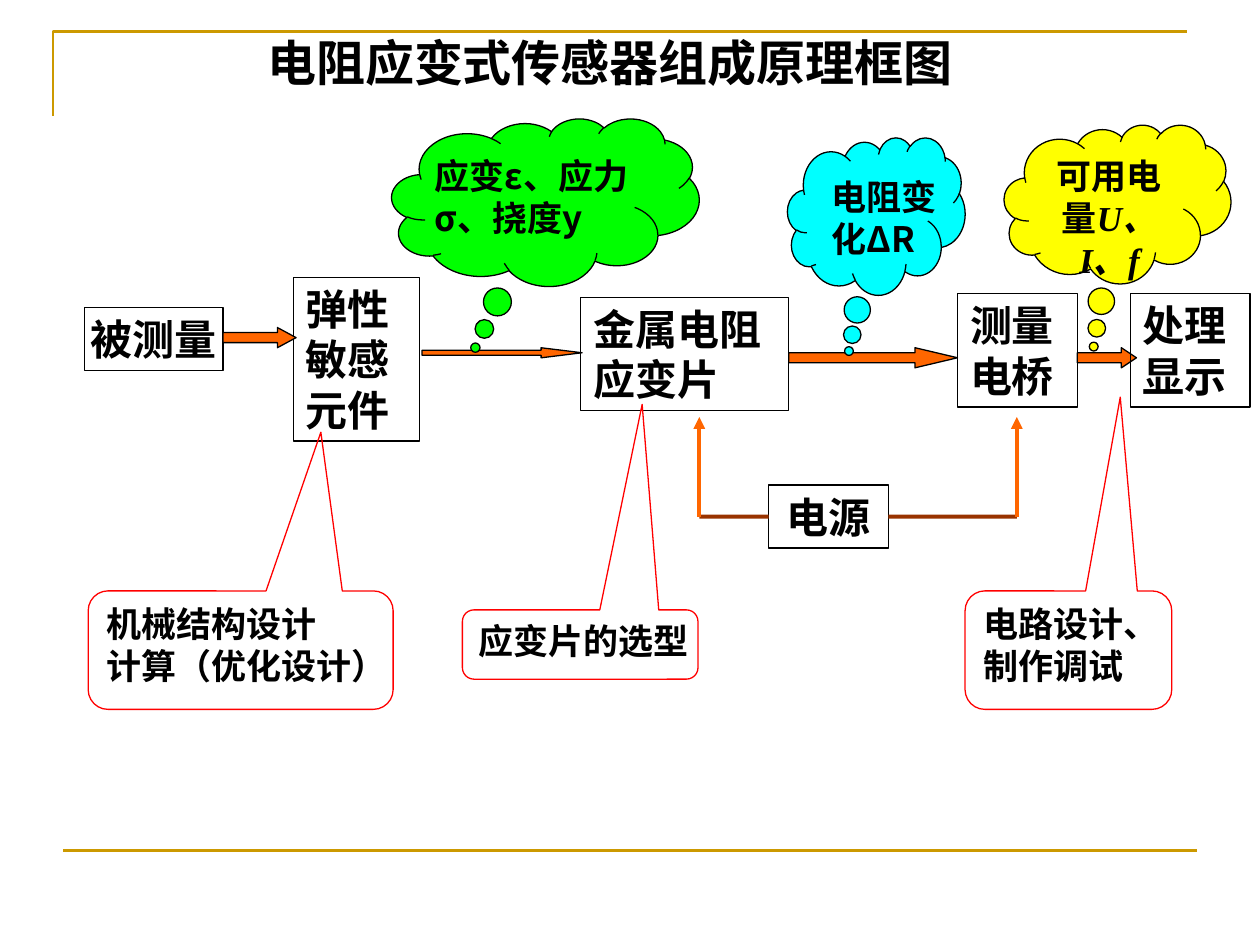
"""Block diagram of a resistance strain gauge sensor."""
from typing import NamedTuple

import pptx
import pptx.dml.color
import pptx.enum.shapes
import pptx.enum.text
import pptx.oxml
import pptx.util
from pptx.util import Inches

KIND = pptx.enum.shapes.MSO_SHAPE
ALIGN = pptx.enum.text.PP_ALIGN
FIT = pptx.enum.text.MSO_AUTO_SIZE
TIMES, SANS = "Times New Roman", "Noto Sans CJK SC"
BLACK, GOLD, RED, ORANGE, BROWN = "000000", "CC9900", "FF0000", "FF6600", "993300"
DRAW = 'xmlns:a="http://schemas.openxmlformats.org/drawingml/2006/main"'


class Run(NamedTuple):
    text: str
    font: str = TIMES
    italic: bool = False


class Text(NamedTuple):
    lines: list[list[Run]]
    size: int = 24
    align: ALIGN = ALIGN.LEFT
    inset: float = 0.1
    wrap: bool = True
    fit: FIT = FIT.SHAPE_TO_FIT_TEXT


class Item(NamedTuple):
    kind: KIND
    place: tuple[float, float, float, float]
    adj: tuple = ()
    fill: str | None = None
    line: str = BLACK
    text: Text | None = None


class Wire(NamedTuple):
    start: tuple[float, float]
    end: tuple[float, float]
    line: str
    width: float
    head: bool = False


def color(code: str):
    return pptx.dml.color.RGBColor.from_string(code)


def assign(target, values: dict) -> None:
    for name, value in values.items():
        setattr(target, name, value)


def stroke(shape, code: str, width: float) -> None:
    shape.line.color.rgb = color(code)
    shape.line.width = pptx.util.Pt(width)


def write(shape, text: Text) -> None:
    frame = shape.text_frame
    side, edge = Inches(text.inset), Inches(0.05)
    assign(frame, {
        "word_wrap": text.wrap, "auto_size": text.fit,
        "vertical_anchor": pptx.enum.text.MSO_ANCHOR.TOP,
        "margin_left": side, "margin_right": side,
        "margin_top": edge, "margin_bottom": edge,
    })
    for index, line in enumerate(text.lines):
        para = frame.add_paragraph() if index else frame.paragraphs[0]
        para.alignment = text.align
        for part in line:
            run = para.add_run()
            run.text = part.text
            assign(run.font, {
                "name": part.font, "size": pptx.util.Pt(text.size),
                "bold": True, "italic": part.italic,
            })
            run.font.color.rgb = color(BLACK)


def draw(host, item: Item):
    shape = host.add_shape(item.kind, *map(Inches, item.place))
    shape.shadow.inherit = False
    for index, value in enumerate(item.adj):
        shape.adjustments[index] = value
    if item.fill:
        shape.fill.solid()
        shape.fill.fore_color.rgb = color(item.fill)
    else:
        shape.fill.background()
    stroke(shape, item.line, 0.75)
    if item.text:
        write(shape, item.text)
    return shape


def label(host, place: tuple, text: Text) -> None:
    write(host.add_textbox(*map(Inches, place)), text)


def link(host, wire: Wire):
    ends = map(Inches, wire.start + wire.end)
    line = host.add_connector(pptx.enum.shapes.MSO_CONNECTOR.STRAIGHT, *ends)
    stroke(line, wire.line, wire.width)
    if wire.head:
        tip = pptx.oxml.parse_xml(f'<a:tailEnd {DRAW} type="triangle"/>')
        line.line._get_or_add_ln().append(tip)
    line._element.spPr.append(pptx.oxml.parse_xml(f"<a:effectLst {DRAW}/>"))
    return line


def box(words: str, *place: float, tight: bool = False) -> Item:
    text = Text([[Run(words)]])
    if tight:
        text = text._replace(align=ALIGN.CENTER, inset=0)
    return Item(KIND.RECTANGLE, place, text=text)


def arrow(adj: float, *place: float) -> Item:
    return Item(KIND.RIGHT_ARROW, place, (0.5, adj), ORANGE)


def note(words: list[str], adj: tuple, *place: float) -> Item:
    lines = [[Run(word, "Arial")] for word in words]
    text = Text(lines, 20, wrap=False, fit=FIT.NONE)
    return Item(KIND.ROUNDED_RECTANGULAR_CALLOUT, place, adj + (0.167,), None, RED, text)


def cloud(adj: tuple, fill: str, *place: float) -> Item:
    return Item(KIND.CLOUD_CALLOUT, place, adj, fill)


STAGES = [
    box("金属电阻应变片", 4.61, 2.36, 1.65, 0.9),
    arrow(4.065, 3.35, 2.76, 1.27, 0.08),
    arrow(2.114, 6.26, 2.76, 1.34, 0.16),
    box("被测量", 0.67, 2.44, 1.1, 0.5, tight=True),
    box("弹性敏感元件", 2.33, 2.2, 1, 1.3),
    arrow(0.924, 1.77, 2.6, 0.58, 0.16),
    box("测量电桥", 7.6, 2.33, 0.95, 0.9),
    arrow(0.749, 8.55, 2.76, 0.47, 0.16),
]
CLOUDS = [
    (cloud((-0.228, 0.868), "00FF00", 3.11, 0.94, 2.44, 1.33),
     (3.35, 1.18, 1.89, 0.77), [Run("应变"), Run("ε、应力σ、挠度y", SANS)]),
    (cloud((-0.154, 0.857), "00FFFF", 6.25, 1.09, 1.41, 1.25),
     (6.5, 1.34, 1.18, 0.77), [Run("电阻变化"), Run("ΔR", SANS)]),
]
USABLE = Text([[Run("可用电量"), Run("U、I、f", italic=True)]], 20, ALIGN.CENTER, fit=FIT.NONE)
NOTES = [
    cloud((-0.105, 0.898), "FFFF00", 7.97, 0.99, 1.8, 1.26)._replace(text=USABLE),
    box("处理显示", 8.97, 2.33, 0.95, 0.9),
    note(["机械结构设计", "计算（优化设计）"], (0.263, -1.84), 0.7, 4.69, 2.42, 0.94),
    note(["应变片的选型"], (0.263, -3.465), 3.67, 4.84, 1.87, 0.55),
    note(["电路设计、", "制作调试"], (0.251, -2.136), 7.66, 4.69, 1.64, 0.94),
]


def main() -> None:
    deck = pptx.Presentation()
    assign(deck, {"slide_width": Inches(10), "slide_height": Inches(7.5)})
    host = deck.slides.add_slide(deck.slide_layouts[6]).shapes

    path = host.build_freeform(Inches(0.42), Inches(0.92))
    path.add_line_segments([(Inches(0.42), Inches(0.25)), (Inches(9.42), Inches(0.25))], close=False)
    frame = path.convert_to_shape()
    frame.shadow.inherit = False
    frame.fill.background()
    stroke(frame, GOLD, 1.5)
    link(host, Wire((0.5, 6.75), (9.5, 6.75), GOLD, 1.5))

    for item in STAGES:
        draw(host, item)
    title = Text([[Run("电阻应变式传感器组成原理框图", "Cabin")]], 28, ALIGN.CENTER)
    label(host, (1.61, 0.21, 6.46, 0.57), title)
    for item, place, runs in CLOUDS:
        group = host.add_group_shape().shapes
        draw(group, item)
        label(group, place, Text([runs], 20))

    power = draw(host, box("电源", 6.1, 3.85, 0.95, 0.5, tight=True))
    level = 4.1
    for side, edge, turn in ((3, 7.05, 8.07), (1, 6.1, 5.55)):
        wire = link(host, Wire((edge, level), (turn, level), BROWN, 2.25))
        wire.begin_connect(power, side)
        link(host, Wire((turn, level), (turn, 3.31), ORANGE, 2.25, True))
    for item in NOTES:
        draw(host, item)
    deck.save("out.pptx")


if __name__ == "__main__":
    main()
